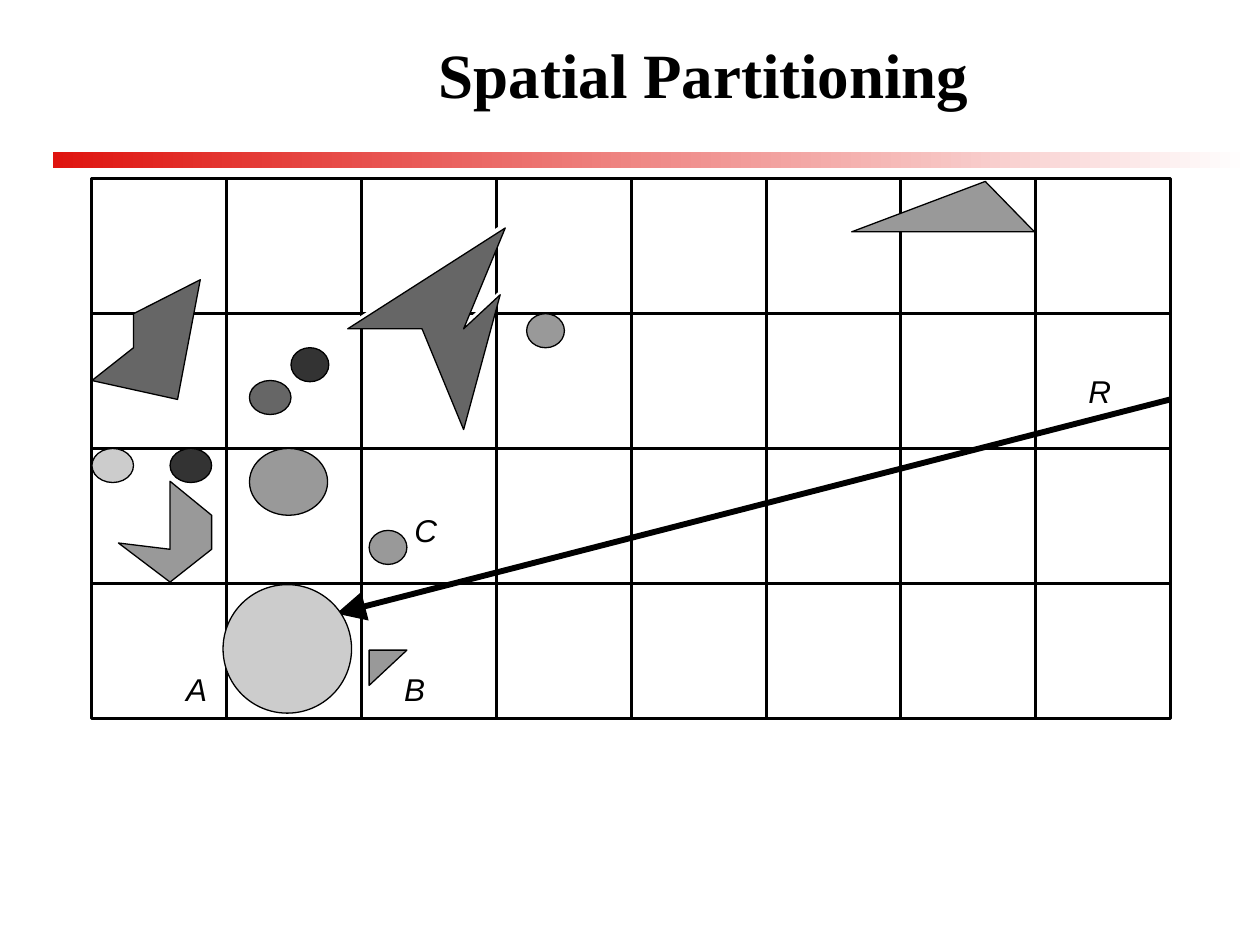
import pptx
import pptx.util
import pptx.dml.color
import pptx.enum.shapes
import pptx.enum.text
import pptx.oxml
import pptx.oxml.ns

Inches = pptx.util.Inches
Pt = pptx.util.Pt
RGBColor = pptx.dml.color.RGBColor
OVAL = pptx.enum.shapes.MSO_SHAPE.OVAL
RECTANGLE = pptx.enum.shapes.MSO_SHAPE.RECTANGLE
STRAIGHT = pptx.enum.shapes.MSO_CONNECTOR.STRAIGHT

BLACK = RGBColor(0x00, 0x00, 0x00)
WHITE = RGBColor(0xFF, 0xFF, 0xFF)
RED = RGBColor(0xDF, 0x14, 0x0F)
CHARCOAL = RGBColor(0x33, 0x33, 0x33)
DARK = RGBColor(0x66, 0x66, 0x66)
MEDIUM = RGBColor(0x99, 0x99, 0x99)
LIGHT = RGBColor(0xCC, 0xCC, 0xCC)

LEFT, TOP, CELL = 0.73, 1.42, 1.07
COLUMNS, ROWS = 8, 4
RIGHT, BOTTOM = LEFT + COLUMNS * CELL, TOP + ROWS * CELL

deck = pptx.Presentation()
deck.slide_width = Inches(10)
deck.slide_height = Inches(7.5)
page = deck.slides.add_slide(deck.slide_layouts[6])


def add_line(start_x, start_y, end_x, end_y, width):
    line = page.shapes.add_connector(
        STRAIGHT, Inches(start_x), Inches(start_y), Inches(end_x), Inches(end_y))
    line.line.color.rgb = BLACK
    line.line.width = Pt(width)
    pptx.oxml.ns.qn("a:effectLst")
    line._element.spPr.append(pptx.oxml.parse_xml(
        "<a:effectLst %s/>" % pptx.oxml.ns.nsdecls("a")))
    return line


def paint(shape, fill, outline, width):
    shape.shadow.inherit = False
    shape.fill.solid()
    shape.fill.fore_color.rgb = fill
    shape.line.color.rgb = outline
    shape.line.width = Pt(width)


for bar_top in (1.21, 1.25):
    bar = page.shapes.add_shape(
        RECTANGLE, Inches(0.42), Inches(bar_top), Inches(9.5), Inches(0.08))
    bar.shadow.inherit = False
    bar.fill.gradient()
    bar.fill.gradient_angle = 0
    for stop, color, position in zip(bar.fill.gradient_stops, (RED, WHITE), (0, 1)):
        stop.color.rgb = color
        stop.position = position
    bar.line.fill.background()

title = page.shapes.add_textbox(Inches(1.17), Inches(0.17), Inches(8.83), Inches(0.83))
title.text_frame.word_wrap = True
title.text_frame.vertical_anchor = pptx.enum.text.MSO_ANCHOR.MIDDLE
para = title.text_frame.paragraphs[0]
para.text = "Spatial Partitioning"
para.alignment = pptx.enum.text.PP_ALIGN.CENTER
para.font.name = "Times New Roman"
para.font.size = Pt(36)
para.font.bold = True
para.font.color.rgb = BLACK

frame = page.shapes.add_shape(
    RECTANGLE, Inches(LEFT), Inches(TOP), Inches(RIGHT - LEFT), Inches(BOTTOM - TOP))
frame.shadow.inherit = False
frame.fill.background()
frame.line.color.rgb = BLACK
frame.line.width = Pt(1.75)

for column in range(1, COLUMNS):
    x = LEFT + column * CELL
    divider = add_line(x, TOP, x, BOTTOM, 1.75)
    if column == COLUMNS // 2:
        divider.begin_connect(frame, 0)
        divider.end_connect(frame, 2)

for row in range(1, ROWS):
    y = TOP + row * CELL
    divider = add_line(LEFT, y, RIGHT, y, 1.75)
    if row == ROWS // 2:
        divider.begin_connect(frame, 1)
        divider.end_connect(frame, 3)

polygons = [
    (WHITE, WHITE, [(2.73, 2.6), (3.98, 1.79), (3.65, 2.6), (3.96, 2.32), (3.65, 3.4), (3.33, 2.6)]),
    (DARK, BLACK, [(2.76, 2.61), (4.01, 1.81), (3.68, 2.61), (3.97, 2.34), (3.68, 3.41), (3.35, 2.61)]),
    (MEDIUM, BLACK, [(1.35, 4.36), (1.35, 3.82), (1.68, 4.09), (1.68, 4.36), (1.35, 4.62), (0.94, 4.31)]),
    (WHITE, WHITE, [(3.22, 5.15), (2.92, 5.41), (2.92, 5.15)]),
    (MEDIUM, BLACK, [(3.23, 5.16), (2.93, 5.44), (2.93, 5.16)]),
    (MEDIUM, BLACK, [(7.82, 1.44), (8.21, 1.84), (6.76, 1.84)]),
    (DARK, BLACK, [(1.06, 2.76), (1.06, 2.49), (1.59, 2.22), (1.41, 3.17), (0.73, 3.02)]),
]
for fill, outline, points in polygons:
    corners = [(Inches(x), Inches(y)) for x, y in points]
    builder = page.shapes.build_freeform(*corners[0])
    builder.add_line_segments(corners[1:], close=True)
    paint(builder.convert_to_shape(), fill, outline, 0)

ray = add_line(RIGHT, 3.17, 2.67, 4.87, 3.38)
ray.line._get_or_add_ln().append(pptx.oxml.parse_xml(
    '<a:tailEnd %s type="triangle" w="lg" len="lg"/>' % pptx.oxml.ns.nsdecls("a")))

ovals = [
    (2.31, 2.76, 0.3, 0.27, CHARCOAL, 0),
    (2.93, 4.21, 0.3, 0.27, MEDIUM, 0),
    (1.98, 3.02, 0.33, 0.27, DARK, 0),
    (4.18, 2.49, 0.3, 0.27, MEDIUM, 0),
    (1.35, 3.56, 0.33, 0.27, CHARCOAL, 0),
    (1.98, 3.56, 0.62, 0.53, MEDIUM, 0),
    (0.73, 3.56, 0.33, 0.27, LIGHT, 0),
    (1.77, 4.64, 1.02, 1.02, LIGHT, 0.75),
]
for x, y, width, height, fill, outline_width in ovals:
    oval = page.shapes.add_shape(OVAL, Inches(x), Inches(y), Inches(width), Inches(height))
    paint(oval, fill, BLACK, outline_width)

for letter, x, y in (("R", 8.54, 2.9), ("A", 1.38, 5.27), ("B", 3.11, 5.27), ("C", 3.19, 4.01)):
    box = page.shapes.add_textbox(Inches(x), Inches(y), Inches(0.4), Inches(0.4))
    box.text_frame.word_wrap = False
    para = box.text_frame.paragraphs[0]
    para.text = letter
    para.font.name = "Arial"
    para.font.size = Pt(18)
    para.font.italic = True
    para.font.color.rgb = BLACK

deck.save("out.pptx")
